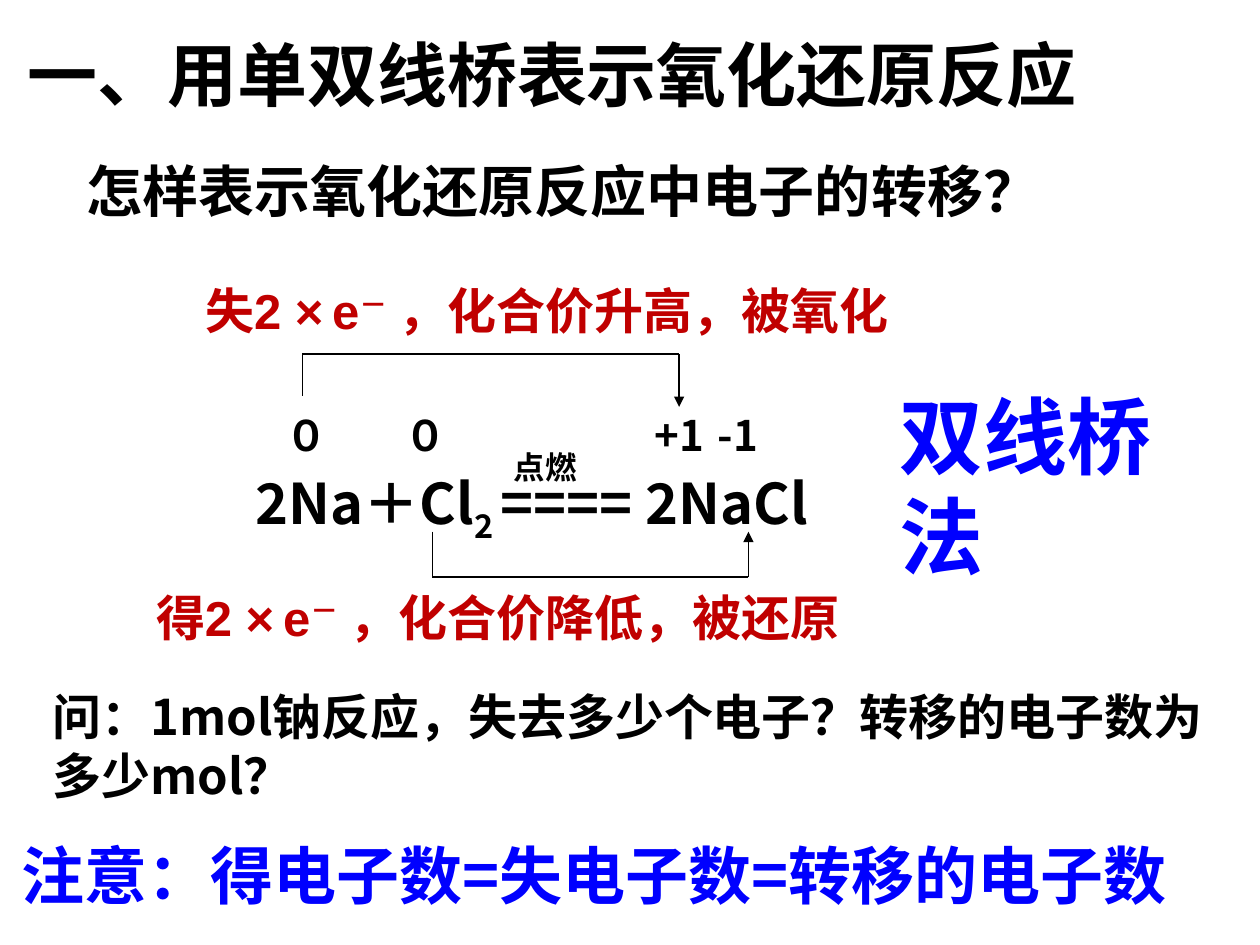
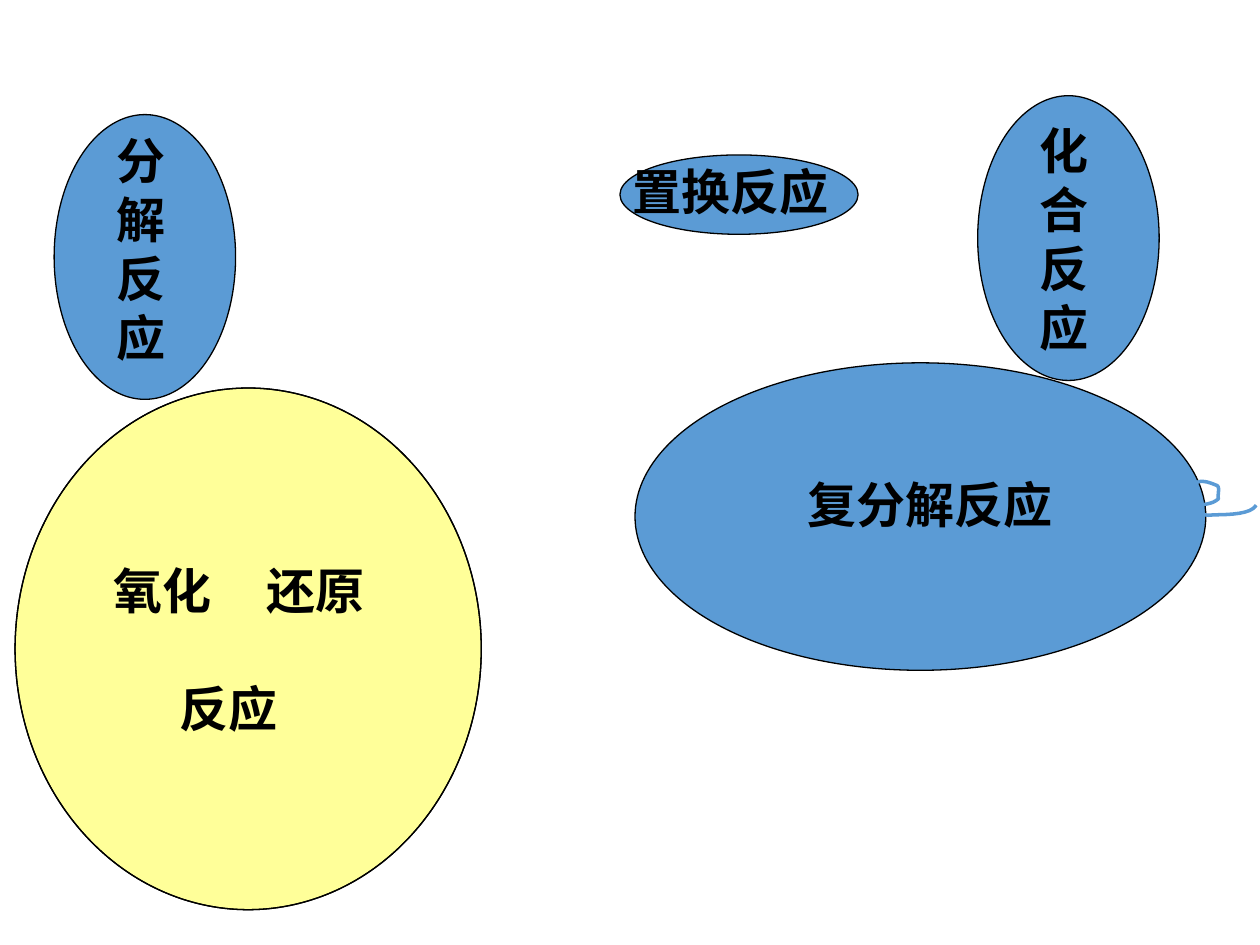
from dataclasses import dataclass
from typing import Optional

from lxml.etree import SubElement
from pptx import Presentation
from pptx.dml.color import RGBColor
from pptx.enum.shapes import MSO_CONNECTOR, MSO_SHAPE
from pptx.enum.text import MSO_AUTO_SIZE
from pptx.oxml.ns import qn
from pptx.util import Inches, Pt

BLACK, RED, BLUE = "000000", "C00000", "0000FF"
SKY, CREAM = "5B9BD5", "FFFF99"
SANS, JAPAN, ARIAL, BODY = "Noto Sans CJK SC", "Noto Sans CJK JP", "Arial", "Calibri"
FRAME = {
    "margin_left": Inches(0.1), "margin_right": Inches(0.1),
    "margin_top": Inches(0.05), "margin_bottom": Inches(0.05),
    "auto_size": MSO_AUTO_SIZE.SHAPE_TO_FIT_TEXT,
}


@dataclass
class Run:
    """Text whose unset values come from its label."""
    text: str
    size: Optional[float] = None
    font: Optional[str] = None
    bold: bool = True
    base: int = 0


@dataclass
class Line:
    runs: list[Run]
    tab: float = 0
    before: float = 0


@dataclass
class Label:
    box: tuple[float, float, float, float]
    lines: list[Line]
    size: float
    font: str = SANS
    color: str = BLACK
    wrap: bool = True


@dataclass
class Oval:
    box: tuple[float, float, float, float]
    fill: Optional[str] = SKY


@dataclass
class Bridge:
    """Three-sided bracket from one atom to another, arrow at the end."""
    left: float
    right: float
    start: float
    level: float
    end: float


def rgb(code: str) -> RGBColor:
    return RGBColor.from_string(code)


def plain(text: str) -> list[Line]:
    return [Line([Run(text)])]


def shift(verb: str, change: str, bold: bool) -> list[Line]:
    """Electron count followed by the change in valence."""
    return [Line([Run(f"{verb}2 ×"), Run(" ", 18, bold=bold), Run("e"),
                  Run("－", base=30), Run(" ，"), Run(change, font=SANS)])]


def write(slide, label: Label) -> None:
    frame = slide.shapes.add_textbox(*map(Inches, label.box)).text_frame
    for name, value in {**FRAME, "word_wrap": label.wrap}.items():
        setattr(frame, name, value)
    for i, line in enumerate(label.lines):
        para = frame.add_paragraph() if i else frame.paragraphs[0]
        if line.before:
            para.space_before = Pt(line.before)
        if line.tab:
            tabs = SubElement(para._p.get_or_add_pPr(), qn("a:tabLst"))
            SubElement(tabs, qn("a:tab"), pos=str(Inches(line.tab)), algn="l")
        for part in line.runs:
            run = para.add_run()
            run.text = part.text
            name = part.font or label.font
            style = {"size": Pt(part.size or label.size), "bold": part.bold, "name": name}
            for key, value in style.items():
                setattr(run.font, key, value)
            run.font.color.rgb = rgb(label.color)
            props = run._r.get_or_add_rPr()
            SubElement(props, qn("a:ea"), typeface=JAPAN if name == JAPAN else SANS)
            if part.base:
                props.set("baseline", str(part.base * 1000))


def span(slide, bridge: Bridge) -> None:
    points = [(bridge.left, bridge.start), (bridge.left, bridge.level),
              (bridge.right, bridge.level), (bridge.right, bridge.end)]
    for a, b in zip(points, points[1:]):
        edge = slide.shapes.add_connector(MSO_CONNECTOR.STRAIGHT, *map(Inches, a + b))
        edge.line.color.rgb = rgb(BLACK)
        edge.line.width = Pt(0.75)
        SubElement(edge._element.spPr, qn("a:effectLst"))
    SubElement(edge.line._get_or_add_ln(), qn("a:tailEnd"), type="triangle")


def paint(shape, fill: Optional[str], line: str, width: float) -> None:
    shape.shadow.inherit = False
    if fill:
        shape.fill.solid()
        shape.fill.fore_color.rgb = rgb(fill)
    else:
        shape.fill.background()
    shape.line.color.rgb = rgb(line)
    shape.line.width = Pt(width)


def ring(slide, oval: Oval) -> None:
    shape = slide.shapes.add_shape(MSO_SHAPE.OVAL, *map(Inches, oval.box))
    paint(shape, oval.fill, BLACK, 0.75)


def curve(knots: list[tuple[float, float]], steps: int = 10) -> list[tuple[float, float]]:
    """Points along a chain of cubic curves that share their end knots."""
    points = [knots[0]]
    for i in range(0, len(knots) - 1, 3):
        for step in range(1, steps + 1):
            t = step / steps
            mix = ((1 - t) ** 3, 3 * t * (1 - t) ** 2, 3 * t * t * (1 - t), t ** 3)
            x, y = (sum(m * v for m, v in zip(mix, axis)) for axis in zip(*knots[i:i + 4]))
            points.append((x, y))
    return points


def trace(slide, knots: list[tuple[float, float]]) -> None:
    points = [(Inches(x), Inches(y)) for x, y in curve(knots)]
    pen = slide.shapes.build_freeform(*points[0])
    pen.add_line_segments(points[1:], close=False)
    paint(pen.convert_to_shape(), None, SKY, 2)


EQUATION = [Line([Run("2Na＋Cl"), Run("2 ", base=-25), Run("==== 2NaCl")])]
BRIDGES = [Bridge(3.43, 5.94, 4.22, 4.58, 4.22), Bridge(2.4, 5.39, 3.14, 2.81, 3.23)]
BRIDGE_TEXT = [
    Label((1.93, 3.67, 5.91, 0.71), EQUATION, 32),
    Label((1.14, 4.61, 6.34, 0.57), shift("得", "化合价降低，被还原", True), 28, ARIAL, RED),
    Label((1.53, 2.18, 6.81, 0.57), shift("失", "化合价升高，被氧化", False), 28, ARIAL, RED),
    Label((2.17, 3.2, 0.53, 0.5), plain("０"), 24, wrap=False),
    Label((3.11, 3.2, 0.53, 0.5), plain("０"), 24, wrap=False),
    Label((5.1, 3.2, 0.6, 0.9), plain("+1"), 24),
    Label((5.6, 3.2, 0.6, 0.5), plain("-1"), 24, wrap=False),
    Label((0.59, 1.19, 9.06, 0.64), plain("怎样表示氧化还原反应中电子的转移？"), 32, JAPAN),
    Label((3.98, 3.51, 0.79, 0.4), plain("点燃"), 18, ARIAL),
    Label((0.07, 6.59, 9.78, 0.7), plain("注意：得电子数=失电子数=转移的电子数"), 36,
          color=BLUE, wrap=False),
    Label((7.04, 3, 2.86, 0.9), plain("双线桥法"), 48, color=BLUE, wrap=False),
    Label((0.12, 0.2, 8.99, 0.77), plain("一、用单双线桥表示氧化还原反应"), 40),
    Label((0.32, 5.4, 9.33, 1.04),
          plain("问：1mol钠反应，失去多少个电子？转移的电子数为多少mol？"), 28, JAPAN),
]

REDOX = [Line([Run("氧化\t还原")], tab=1.22), Line([Run("\t反应")], tab=0.53, before=33.5)]
REDOX_BOX = (0.12, 3.08, 3.7, 4.14)
KINDS = [
    (Oval((5.04, 2.88, 4.53, 2.44)), (6.31, 3.72, 2.51, 0.57), plain("复分解反应")),
    (Oval(REDOX_BOX, CREAM), (0.8, 4.4, 2.32, 1.5), REDOX),
    (Oval((4.92, 1.23, 1.89, 0.63)), (4.92, 1.23, 1.81, 0.57), plain("置换反应")),
    (Oval((7.76, 0.76, 1.44, 2.26)), (8.15, 0.91, 0.55, 1.97), plain("化合反应")),
    (Oval((0.43, 0.91, 1.44, 2.26)), (0.83, 0.99, 0.63, 1.97), plain("分解反应")),
]
SCRIBBLE = [
    (9.02, 4.04), (9.05, 4.14), (9.14, 4.1), (9.24, 4.09), (9.31, 4.07), (9.38, 4.06),
    (9.44, 4.04), (9.52, 3.99), (9.6, 4.02), (9.67, 3.96), (9.66, 3.92), (9.69, 3.86),
    (9.65, 3.85), (9.51, 3.79), (9.48, 3.83), (9.41, 3.9), (9.41, 3.9), (9.36, 3.99),
    (9.36, 4.01), (9.38, 4.09), (9.53, 4.08), (9.59, 4.09), (9.66, 4.08), (9.92, 4.1),
    (9.97, 4.01),
]


def main() -> None:
    deck = Presentation()
    deck.slide_width, deck.slide_height = Inches(10), Inches(7.5)
    blank = deck.slide_layouts[6]

    slide = deck.slides.add_slide(blank)
    for bridge in BRIDGES:
        span(slide, bridge)
    for label in BRIDGE_TEXT:
        write(slide, label)

    slide = deck.slides.add_slide(blank)
    for oval, box, lines in KINDS:
        ring(slide, oval)
        write(slide, Label(box, lines, 28, BODY))
    ring(slide, Oval(REDOX_BOX, None))
    trace(slide, SCRIBBLE)

    deck.save("out.pptx")


if __name__ == "__main__":
    main()
